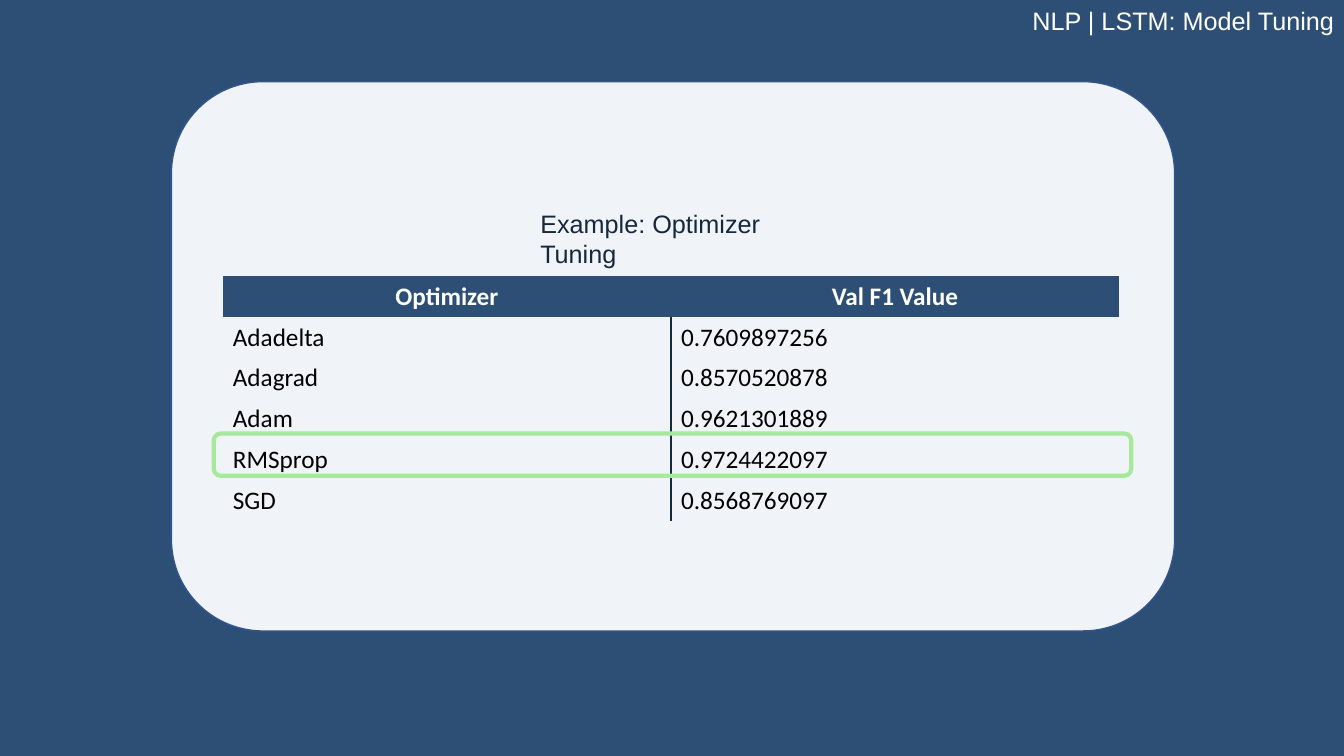
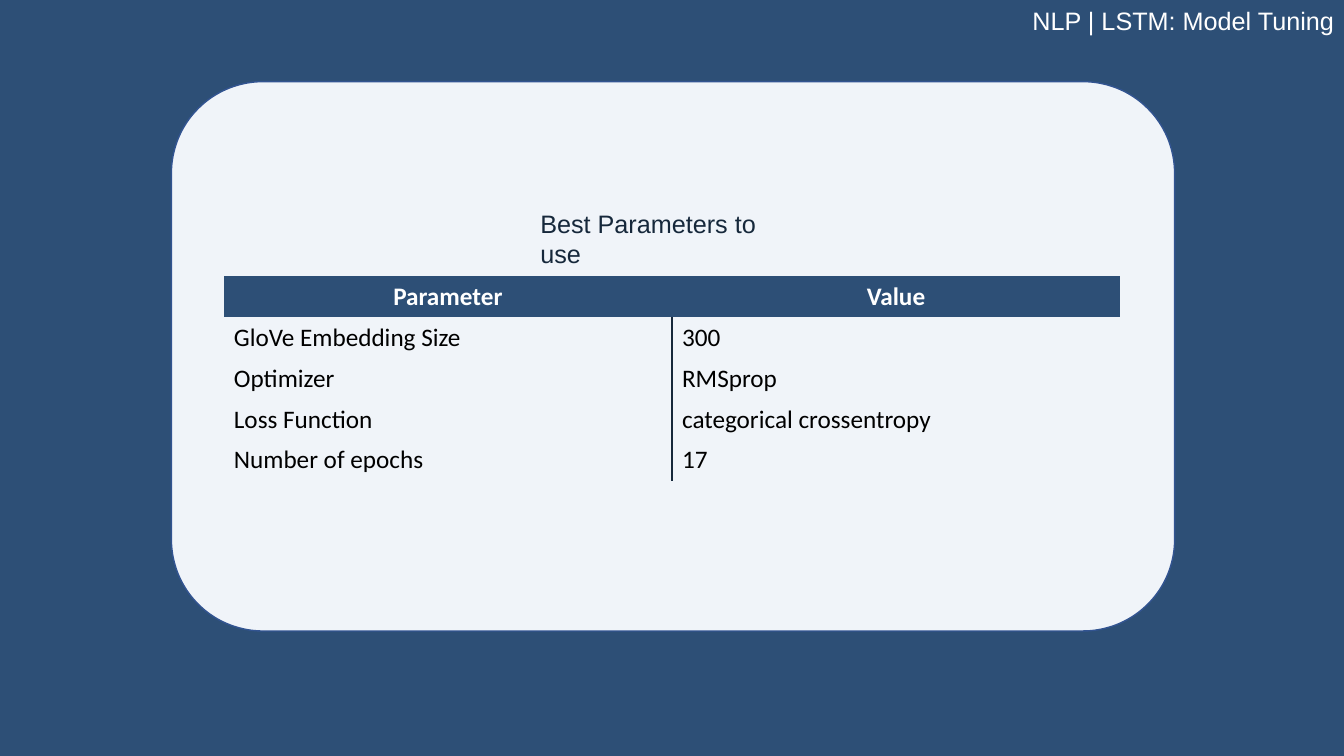
from pptx import Presentation
from pptx.dml.color import RGBColor
from pptx.enum.shapes import MSO_SHAPE as Shape
from pptx.enum.text import MSO_ANCHOR as Anchor, PP_ALIGN as Align
from pptx.oxml import parse_xml
from pptx.oxml.ns import nsdecls
from pptx.util import Pt

# Content: caption, caption width, table left, table height, rows, marked box
HEAD = "NLP | LSTM: Model Tuning"
PAGES = [
    dict(cap="Example: Optimizer Tuning", wide=288, left=221, high=243,
         mark=(212, 430, 910, 42),
         rows=[("Optimizer", "Val F1 Value"),
               ("Adadelta", "0.7609897256"),
               ("Adagrad", "0.8570520878"),
               ("Adam", "0.9621301889"),
               ("RMSprop", "0.9724422097"),
               ("SGD", "0.8568769097")]),
    dict(cap="Best Parameters to use", wide=252, left=222, high=203,
         mark=None,
         rows=[("Parameter", "Value"),
               ("GloVe Embedding Size", "300"),
               ("Optimizer", "RMSprop"),
               ("Loss Function", "categorical crossentropy"),
               ("Number of epochs", "17")]),
]

# Shared look
BLUE, PALE, EDGE, INK = "2D4F76", "F0F4F9", "325491", "16283B"
WHITE, BLACK, GREEN = "FFFFFF", "000000", "A7E99C"
PLAIN = "{2D5ABB26-0587-4C30-8999-92F81FD0307C}"  # table style without grid
SCALE = 9144  # EMU per px, 100 px to the inch


def px(*nums):
    return [n * SCALE for n in nums]


def paint(part, hue):
    part.solid()
    part.fore_color.rgb = RGBColor.from_string(hue)


def write(frame, text, font="Arial", hue=INK, bold=False, align=Align.LEFT):
    para = frame.paragraphs[0]
    para.alignment = align
    run = para.add_run()
    run.text = text
    run.font.name, run.font.size, run.font.bold = font, Pt(18), bold
    run.font.color.rgb = RGBColor.from_string(hue)


def label(slide, box, text, **look):
    frame = slide.shapes.add_textbox(*px(*box)).text_frame
    frame.word_wrap = True
    frame.vertical_anchor = Anchor.TOP
    write(frame, text, **look)


def panel(slide, box, line, width, fill=None):
    shape = slide.shapes.add_shape(Shape.ROUNDED_RECTANGLE, *px(*box))
    shape.shadow.inherit = False
    if fill:
        paint(shape.fill, fill)
    else:
        shape.fill.background()
    paint(shape.line.fill, line)
    shape.line.width = Pt(width)


def rule(cell, side):
    cell._tc.get_or_add_tcPr().insert(0, parse_xml(
        f'<a:ln{side} {nsdecls("a")} w="{Pt(1)}"><a:solidFill>'
        f'<a:srgbClr val="{INK}"/></a:solidFill></a:ln{side}>'))


def grid(slide, left, high, rows):
    table = slide.shapes.add_table(
        len(rows), 2, *px(left, 274, 889, high)).table
    table._tbl.tblPr[0].text = PLAIN
    for r, row in enumerate(rows):
        for c, text in enumerate(row):
            cell = table.cell(r, c)
            if r == 0:
                paint(cell.fill, BLUE)
                write(cell.text_frame, text, font="Calibri", hue=WHITE,
                      bold=True, align=Align.CENTER)
            else:
                paint(cell.fill, PALE)
                write(cell.text_frame, text, font="Calibri", hue=BLACK)
                rule(cell, "RL"[c])


def build(deck, page):
    slide = deck.slides.add_slide(deck.slide_layouts[6])
    paint(slide.background.fill, BLUE)
    panel(slide, (170, 81, 995, 545), EDGE, 1, fill=PALE)
    label(slide, (762, 0, 571, 40), HEAD, hue=WHITE, align=Align.RIGHT)
    label(slide, (526, 202, page["wide"], 40), page["cap"])
    grid(slide, page["left"], page["high"], page["rows"])
    if page["mark"]:
        panel(slide, page["mark"], GREEN, 3)


def main():
    deck = Presentation()
    deck.slide_width, deck.slide_height = px(1333, 750)
    for page in PAGES:
        build(deck, page)
    deck.save("out.pptx")


if __name__ == "__main__":
    main()
